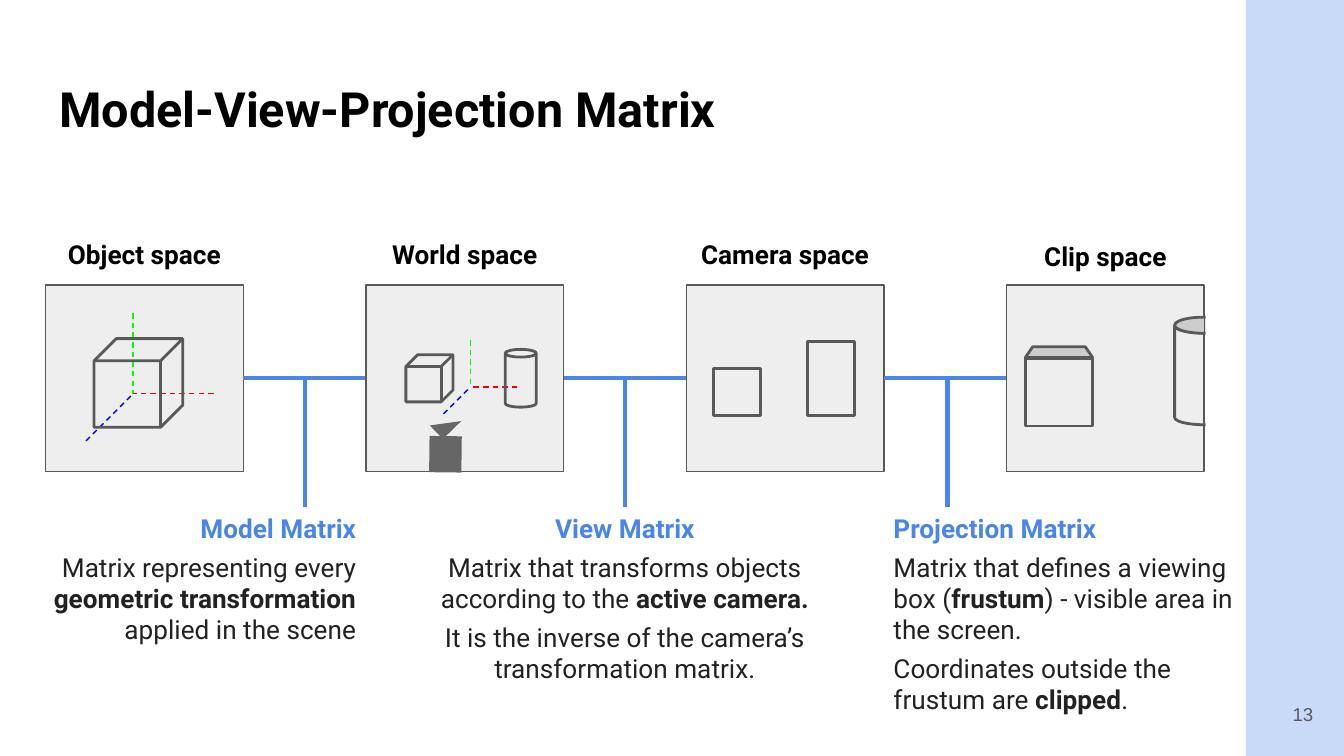
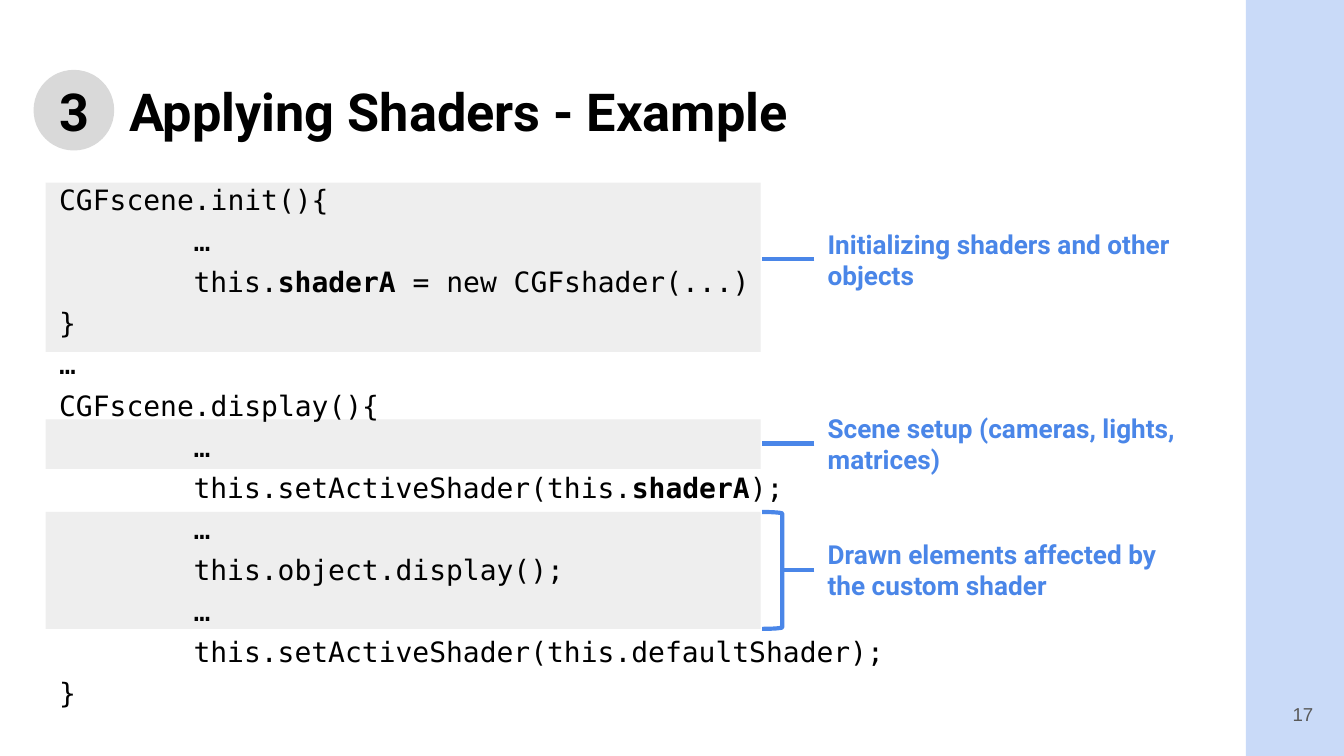
from pptx import Presentation
from pptx.dml.color import RGBColor
from pptx.enum.dml import MSO_LINE
from pptx.enum.shapes import MSO_CONNECTOR, MSO_SHAPE
from pptx.enum.text import MSO_ANCHOR, MSO_AUTO_SIZE, PP_ALIGN
from pptx.oxml.ns import qn
from pptx.util import Inches, Pt
from lxml import etree

RECT, OVAL, CUBE, CAN = (MSO_SHAPE.RECTANGLE, MSO_SHAPE.OVAL,
                         MSO_SHAPE.CUBE, MSO_SHAPE.CAN)
TRIANGLE, TRAPEZOID = MSO_SHAPE.RIGHT_TRIANGLE, MSO_SHAPE.TRAPEZOID
BRACKET = MSO_SHAPE.RIGHT_BRACKET
LEFT, CENTER, RIGHT = PP_ALIGN.LEFT, PP_ALIGN.CENTER, PP_ALIGN.RIGHT
TOP, MIDDLE = MSO_ANCHOR.TOP, MSO_ANCHOR.MIDDLE
DASH = MSO_LINE.DASH

BLACK = RGBColor(0x00, 0x00, 0x00)
WHITE = RGBColor(0xFF, 0xFF, 0xFF)
INK = RGBColor(0x22, 0x22, 0x22)
GRAY = RGBColor(0x59, 0x59, 0x59)
CAMERA = RGBColor(0x66, 0x66, 0x66)
LID = RGBColor(0xCC, 0xCC, 0xCC)
BADGE = RGBColor(0xD9, 0xD9, 0xD9)
PANEL = RGBColor(0xEE, 0xEE, 0xEE)
BLUE = RGBColor(0x4A, 0x86, 0xE8)
BAND = RGBColor(0xC9, 0xDA, 0xF8)
X_RED = RGBColor(0xFF, 0x00, 0x00)
Y_GREEN = RGBColor(0x00, 0xFF, 0x00)
Z_BLUE = RGBColor(0x00, 0x00, 0xFF)

SANS, MONO, NUMBER_FONT = "Roboto", "DejaVu Sans Mono", "Arial"
TITLE_BOX = (0.34, 0.49, 9.32, 0.63)
NUMBER_BOX = (9.27, 5.1, 0.6, 0.43)

# Content: ** switches bold on and off
MVP_TITLE = "Model-View-Projection Matrix"
SPACES = [("Object space", 1.67), ("World space", 1.67),
          ("Camera space", 1.67), ("Clip space", 1.69)]
MATRICES = [  # stem x, text box, alignment, heading, paragraphs
    (2.27, (0.25, 3.71, 2.5, 0.79), RIGHT, "Model Matrix",
     ["Matrix representing every **geometric transformation** "
      "applied in the scene"]),
    (4.65, (3.17, 3.71, 2.96, 1.19), CENTER, "View Matrix",
     ["Matrix that transforms objects according to the **active camera.**",
      "It is the inverse of the camera’s transformation matrix."]),
    (7.05, (6.55, 3.71, 2.73, 1.39), LEFT, "Projection Matrix",
     ["Matrix that defines a viewing box (**frustum**) - visible area in "
      "the screen.",
      "Coordinates outside the frustum are **clipped**."]),
]
AXES = [  # origin, arm length, diagonal arm length
    ((0.99, 2.93), 0.6, 0.35),
    ((3.5, 2.88), 0.35, 0.2),
]
OBJECTS = [  # shape, box, fill, line width, rotation, adjustment
    (CUBE, (0.7, 2.52, 0.66, 0.66), None, 1.5, 0, 0.25),
    (CUBE, (3.02, 2.64, 0.35, 0.35), None, 1.5, 0, 0.25),
    (CAN, (3.76, 2.6, 0.23, 0.43), None, 1.5, 0, 0.25),
    (RECT, (3.18, 3.26, 0.27, 0.24), CAMERA, 0, 270.7, None),
    (TRIANGLE, (3.22, 3.08, 0.19, 0.14), CAMERA, 0, 315.7, None),
    (RECT, (5.31, 2.74, 0.35, 0.35), PANEL, 1.5, 0, None),
    (RECT, (6.01, 2.54, 0.35, 0.55), PANEL, 1.5, 0, None),
    (RECT, (7.63, 2.67, 0.5, 0.5), PANEL, 1.5, 0, None),
    (TRAPEZOID, (7.63, 2.58, 0.5, 0.08), LID, 1.5, 0, 0.68),
    (CAN, (8.74, 2.37, 0.43, 0.79), None, 1.5, 0, 0.25),
    (OVAL, (8.74, 2.36, 0.43, 0.12), LID, 1.5, 0, None),
    (RECT, (8.97, 2.34, 0.22, 0.84), WHITE, 0, 0, None),  # clips the can
]

SHADER_TITLE = "3\tApplying Shaders - Example"
CODE = [
    "CGFscene.init(){",
    "\t…",
    "\tthis.**shaderA** = new CGFshader(...)",
    "}",
    "…",
    "CGFscene.display(){",
    "\t…",
    "\tthis.setActiveShader(this.**shaderA**);",
    "\t…",
    "\tthis.object.display();",
    "\t…",
    "\tthis.setActiveShader(this.defaultShader);",
    "}",
]
NOTES = [  # panel top and height, line start x and y, text size, text
    (1.36, 1.26, 5.67, 1.93, (2.96, 0.49),
     "Initializing shaders and other objects"),
    (3.12, 0.37, 5.67, 3.3, (3.24, 0.37),
     "Scene setup (cameras, lights, matrices)"),
    (3.81, 0.87, 5.82, 4.24, (2.76, 0.37),
     "Drawn elements affected by the custom shader"),
]


# Helpers
def inches(box):
    return [Inches(v) for v in box]


def add_shape(slide, kind, box, fill=None, line=None, width=0.75,
              rotation=0, adj=None):
    sp = slide.shapes.add_shape(kind, *inches(box))
    sp.shadow.inherit = False
    sp.rotation = rotation
    if adj is not None:
        sp.adjustments[0] = adj
    if fill is None:
        sp.fill.background()
    else:
        sp.fill.solid()
        sp.fill.fore_color.rgb = fill
    if line is None:
        sp.line.fill.background()
    else:
        sp.line.color.rgb = line
        sp.line.width = Pt(width)
    return sp


def add_line(slide, start, end, color=BLUE, width=2.25, dash=None):
    ln = slide.shapes.add_connector(MSO_CONNECTOR.STRAIGHT,
                                    *inches(start + end))
    ln.line.color.rgb = color
    ln.line.width = Pt(width)
    if dash is not None:
        ln.line.dash_style = dash
    etree.SubElement(ln.element.spPr, qn("a:effectLst"))


def set_frame(tf, anchor=TOP):
    tf.word_wrap = True
    tf.auto_size = MSO_AUTO_SIZE.NONE
    tf.vertical_anchor = anchor
    tf.margin_left = tf.margin_right = Inches(0.1)
    tf.margin_top = tf.margin_bottom = Inches(0.1)


def write(p, text, size, color, font=SANS, bold=False, align=LEFT, before=0):
    p.alignment = align
    p.space_before, p.space_after = Pt(before), Pt(0)
    for i, part in enumerate(text.split("**")):
        if part:
            r = p.add_run()
            r.text = part
            r.font.name, r.font.size = font, Pt(size)
            r.font.bold = bold or i % 2 == 1
            r.font.color.rgb = color


def add_text(slide, box, text, size, color, anchor=TOP, **style):
    tf = slide.shapes.add_textbox(*inches(box)).text_frame
    set_frame(tf, anchor)
    write(tf.paragraphs[0], text, size, color, **style)
    return tf


def set_tab(p, size):
    """Drop the bullet and indent, and set the tab width."""
    pPr = p._p.get_or_add_pPr()
    pPr.set("marL", "0")
    pPr.set("indent", "0")
    pPr.set("defTabSz", str(int(Inches(size))))
    etree.SubElement(pPr, qn("a:buNone"))


def place(ph, box):
    """Position a placeholder and bring it in front of what is drawn."""
    ph.left, ph.top, ph.width, ph.height = inches(box)
    ph.element.getparent().append(ph.element)
    set_frame(ph.text_frame)
    return ph.text_frame


def add_title(slide, text, size):
    p = place(slide.shapes.title, TITLE_BOX).paragraphs[0]
    write(p, text, size, BLACK, bold=True)
    return p


def add_number(slide, number):
    add_text(slide, NUMBER_BOX, number, 10, GRAY, MIDDLE,
             font=NUMBER_FONT, align=RIGHT)


prs = Presentation()
prs.slide_width = Inches(10)
prs.slide_height = prs.slide_width * 9 // 16

# Slide 1: matrix pipeline
s = prs.slides.add_slide(prs.slide_layouts[5])
band = add_shape(s, RECT, (9.27, -0.02, 0.73, 5.65), BAND)
prs.slide_master.element.cSld.spTree.insert(2, band.element)  # shared band
add_title(s, MVP_TITLE, 26)
add_number(s, "13")

BOX_X, BOX_Y, BOX_W, BOX_H = 0.34, 2.12, 1.47, 1.39
BOX_STEP = (7.49 - BOX_X) / (len(SPACES) - 1)
LINK_Y = 2.81
for i, (name, label_y) in enumerate(SPACES):
    x = BOX_X + i * BOX_STEP
    add_shape(s, RECT, (x, BOX_Y, BOX_W, BOX_H), PANEL, GRAY)
    add_text(s, (x, label_y, BOX_W, 0.42), name, 14, BLACK,
             bold=True, align=CENTER)
    if i < len(SPACES) - 1:
        add_line(s, (x + BOX_W, LINK_Y), (x + BOX_STEP, LINK_Y))

for stem_x, box, align, heading, paragraphs in MATRICES:
    add_line(s, (stem_x, LINK_Y), (stem_x, 3.77))
    tf = add_text(s, box, heading, 14, BLUE, bold=True, align=align)
    for text in paragraphs:
        write(tf.add_paragraph(), text, 14, INK, align=align, before=4)

for (x, y), arm, diagonal in AXES:
    for end, color in [((x, y - arm), Y_GREEN), ((x + arm, y), X_RED),
                       ((x - diagonal, y + diagonal), Z_BLUE)]:
        add_line(s, end, (x, y), color, 0.75, DASH)

for kind, box, fill, width, rotation, adj in OBJECTS:
    add_shape(s, kind, box, fill, GRAY if width else None, width,
              rotation, adj)
add_line(s, (8.96, 2.48), (8.96, 2.36), GRAY, 0.75)

# Slide 2: shader code with notes
s = prs.slides.add_slide(prs.slide_layouts[1])
add_shape(s, OVAL, (0.25, 0.52, 0.6, 0.6), BADGE)
NOTE_X, PANEL_W = 6.06, 5.32
for top, height, line_x, line_y, (w, h), text in NOTES:
    add_shape(s, RECT, (BOX_X, top, PANEL_W, height), PANEL)
    add_line(s, (NOTE_X, line_y), (line_x, line_y))
    add_text(s, (NOTE_X, line_y - h / 2, w, h), text, 14, BLUE, MIDDLE,
             bold=True)
add_shape(s, BRACKET, (5.67, 3.81, 0.15, 0.87), None, BLUE, 2.25, adj=0.08)

set_tab(add_title(s, SHADER_TITLE, 28), 0.52)
tf = place(s.placeholders[1], (0.34, 1.26, 8.92, 3.84))
for i, text in enumerate(CODE):
    p = tf.add_paragraph() if i else tf.paragraphs[0]
    write(p, text, 15, BLACK, font=MONO, before=4 if i else 0)
    set_tab(p, 1)
add_number(s, "17")

prs.save("out.pptx")
